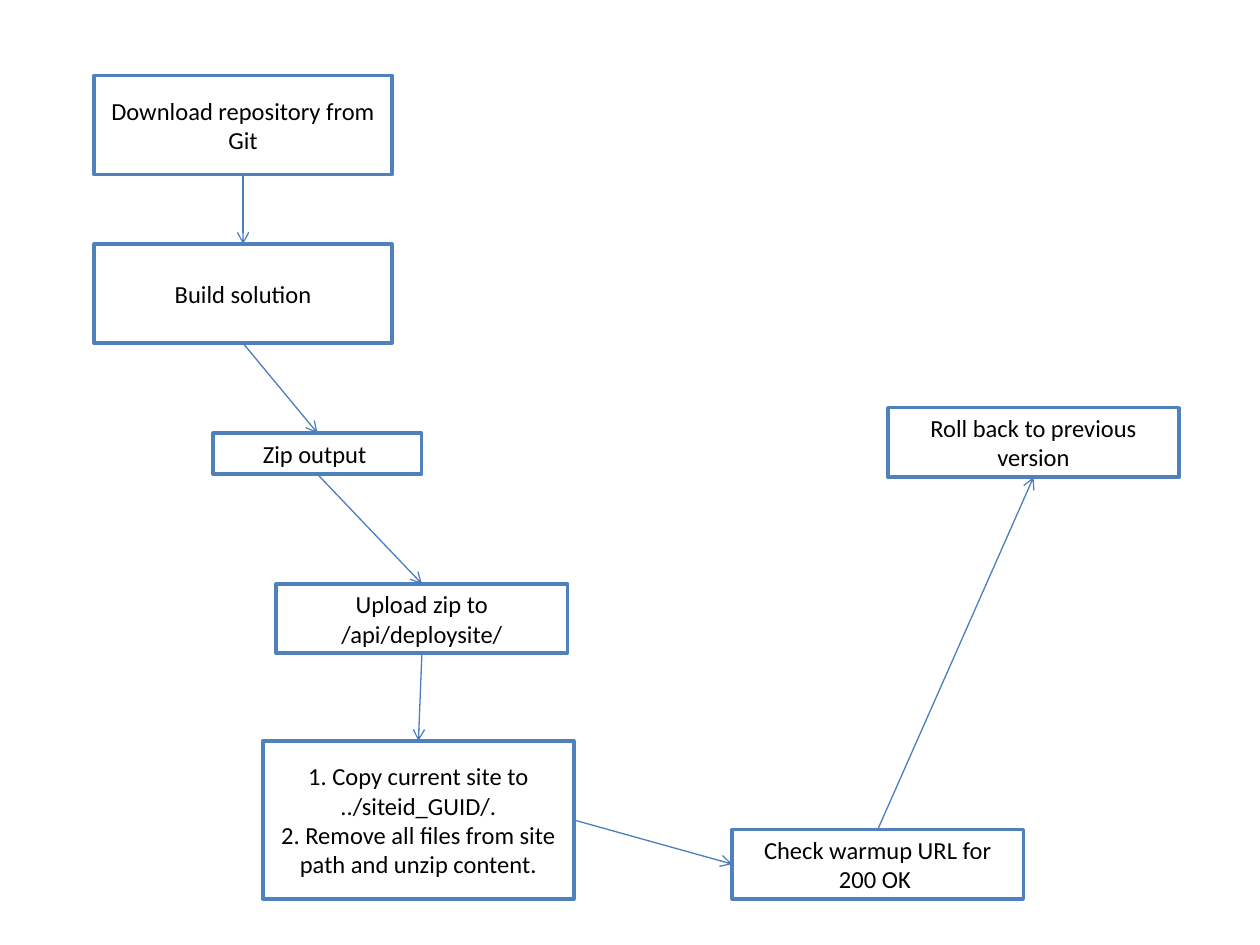
from lxml.etree import SubElement
from pptx import Presentation
from pptx.dml.color import RGBColor
from pptx.enum.shapes import MSO_CONNECTOR, MSO_SHAPE
from pptx.enum.text import MSO_ANCHOR, PP_ALIGN
from pptx.oxml.ns import qn
from pptx.util import Cm, Pt

# Content: step -> (lines of text, left, top, width, height in cm)
STEPS = {
    "download": (["Download repository from Git"], 1.9, 1.52, 6, 2),
    "build": (["Build solution"], 1.9, 4.92, 6, 2),
    "zip": (["Zip output "], 4.3, 8.73, 4.2, 0.83),
    "upload": (["Upload zip to /api/deploysite/"], 5.57, 11.77, 5.87, 1.4),
    "deploy": (["1. Copy current site to ../siteid_GUID/.",
                "2. Remove all files from site path and unzip content."],
               5.3, 14.94, 6.27, 3.18),
    "check": (["Check warmup URL for 200 OK "], 14.76, 16.72, 5.87, 1.4),
    "rollback": (["Roll back to previous version"], 17.9, 8.22, 5.87, 1.4),
}

# Connection sites of a rectangle
TOP, LEFT, BOTTOM, RIGHT = range(4)
ARROWS = [
    ("download", BOTTOM, "build", TOP),
    ("build", BOTTOM, "zip", TOP),
    ("zip", BOTTOM, "upload", TOP),
    ("upload", BOTTOM, "deploy", TOP),
    ("deploy", RIGHT, "check", LEFT),
    ("check", TOP, "rollback", BOTTOM),
]


def color(hex_code):
    return RGBColor.from_string(hex_code)


def add_step(s, lines, *box):
    sp = s.shapes.add_shape(MSO_SHAPE.RECTANGLE, *map(Cm, box))
    sp.shadow.inherit = False
    sp.fill.solid()
    sp.fill.fore_color.rgb = color("FFFFFF")
    sp.line.color.rgb = color("4F81BD")
    sp.line.width = Pt(2)
    tf = sp.text_frame
    tf.word_wrap = True
    tf.vertical_anchor = MSO_ANCHOR.MIDDLE
    p = tf.paragraphs[0]
    p.alignment = PP_ALIGN.CENTER
    for i, line in enumerate(lines):
        if i:
            p.add_line_break()
        r = p.add_run()
        r.text = line
        r.font.name = "Calibri"
        r.font.size = Pt(14)
        r.font.color.rgb = color("000000")
    return sp


def add_arrow(s, start, start_site, end, end_site):
    cxn = s.shapes.add_connector(MSO_CONNECTOR.STRAIGHT, 0, 0, 0, 0)
    cxn.begin_connect(start, start_site)
    cxn.end_connect(end, end_site)
    cxn.line.color.rgb = color("4B7EBC")
    cxn.line.width = Pt(0.75)
    SubElement(cxn.line._get_or_add_ln(), qn("a:tailEnd"), type="arrow")
    SubElement(cxn._element.spPr, qn("a:effectLst"))


def main():
    prs = Presentation()
    prs.slide_width, prs.slide_height = Cm(25.4), Cm(19.05)
    s = prs.slides.add_slide(prs.slide_layouts[6])

    # Steps, then the arrows between them
    boxes = {name: add_step(s, *step) for name, step in STEPS.items()}
    for start, start_site, end, end_site in ARROWS:
        add_arrow(s, boxes[start], start_site, boxes[end], end_site)

    prs.save("out.pptx")


if __name__ == "__main__":
    main()
